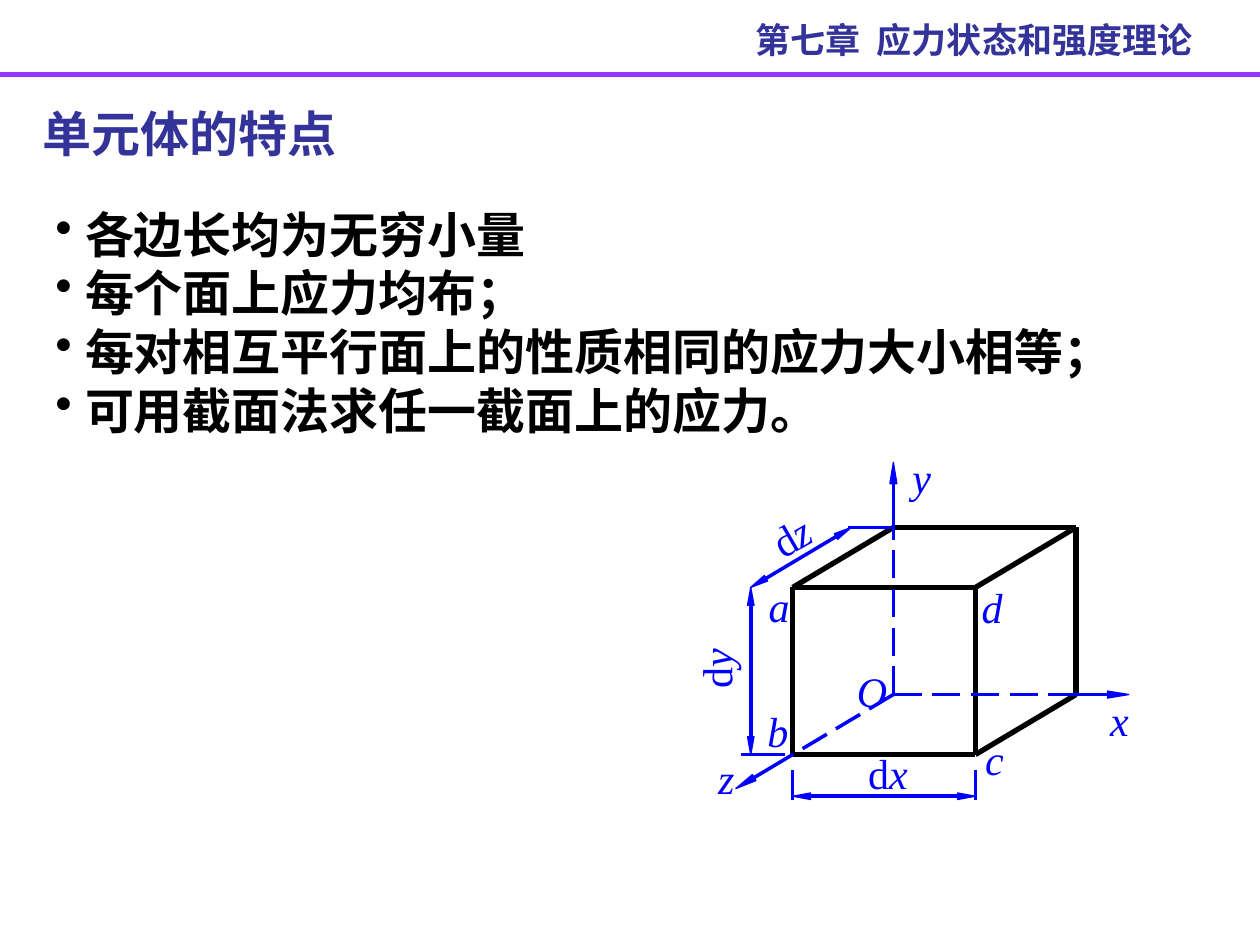
import math
from dataclasses import dataclass

import pptx
import pptx.dml.color
import pptx.enum.dml
import pptx.enum.shapes
import pptx.enum.text
import pptx.oxml.ns
import pptx.util
from lxml import etree

Pt = pptx.util.Pt
ALIGN = pptx.enum.text.PP_ALIGN


@dataclass(frozen=True)
class Theme:
    font: str = "Times New Roman"
    heading: str = "333399"
    body: str = "000000"
    rule: str = "9933FF"
    drawing: str = "0000FF"
    header_size: int = 20
    body_size: int = 28
    label_size: int = 24
    leading: float = 1.2
    thick: int = 3
    hairline: int = 0


class SlideBuilder:
    def __init__(self, slide, theme):
        self.slide = slide
        self.theme = theme

    def color(self, value):
        return pptx.dml.color.RGBColor.from_string(value)

    def style_font(self, font, color, **values):
        for name, value in {"name": self.theme.font, **values}.items():
            setattr(font, name, value)
        font.color.rgb = self.color(color)

    def style_frame(self, frame, margins=(7.2, 3.6), wrap=True, anchor="TOP"):
        side, edge = (Pt(margin) for margin in margins)
        values = {
            "margin_left": side, "margin_right": side,
            "margin_top": edge, "margin_bottom": edge,
            "word_wrap": wrap,
            "auto_size": pptx.enum.text.MSO_AUTO_SIZE.NONE,
            "vertical_anchor": getattr(pptx.enum.text.MSO_ANCHOR, anchor),
        }
        for name, value in values.items():
            setattr(frame, name, value)

    def textbox(self, box):
        return self.slide.shapes.add_textbox(*(Pt(length) for length in box))

    def add_text(self, paragraph, text, size, color, align=ALIGN.LEFT):
        run = paragraph.add_run()
        run.text = text
        paragraph.alignment = align
        paragraph.line_spacing = Pt(size * self.theme.leading)
        self.style_font(run.font, color, size=Pt(size), bold=True)

    def title(self, text, box):
        title = self.slide.shapes.title
        for name, length in zip(("left", "top", "width", "height"), box):
            setattr(title, name, Pt(length))
        self.style_frame(title.text_frame)
        self.add_text(title.text_frame.paragraphs[0], text, self.theme.body_size,
                      self.theme.heading, ALIGN.JUSTIFY)

    def header(self, text, box):
        frame = self.textbox(box).text_frame
        self.style_frame(frame)
        self.add_text(frame.paragraphs[0], text, self.theme.header_size, self.theme.heading)

    def bullets(self, items, box, indent=17):
        frame = self.textbox(box).text_frame
        self.style_frame(frame, anchor="MIDDLE")
        for index, item in enumerate(items):
            paragraph = frame.add_paragraph() if index else frame.paragraphs[0]
            properties = paragraph._p.get_or_add_pPr()
            properties.set("marL", str(Pt(indent)))
            properties.set("indent", str(-Pt(indent)))
            bullet = etree.SubElement(properties, pptx.oxml.ns.qn("a:buChar"))
            bullet.set("char", "•")
            self.add_text(paragraph, item, self.theme.body_size, self.theme.body, ALIGN.JUSTIFY)

    def label(self, upright, italic, left, top, width, rotation=0):
        """Place a symbol; an upright part may stand before the italic one."""
        box = self.textbox((left, top, width, 28.8))
        box.rotation = rotation
        self.style_frame(box.text_frame, margins=(0, 0), wrap=False)
        for text, slanted in ((upright, False), (italic, True)):
            if text:
                run = box.text_frame.paragraphs[0].add_run()
                run.text = text
                self.style_font(run.font, self.theme.drawing,
                                size=Pt(self.theme.label_size), italic=slanted)

    def line(self, start, end, color, width, dashed=False):
        connector = self.slide.shapes.add_connector(
            pptx.enum.shapes.MSO_CONNECTOR.STRAIGHT, *(Pt(v) for v in (*start, *end)))
        connector.line.color.rgb = self.color(color)
        connector.line.width = Pt(width)
        if dashed:
            connector.line.dash_style = pptx.enum.dml.MSO_LINE.LONG_DASH
        etree.SubElement(connector._element.spPr, pptx.oxml.ns.qn("a:effectLst"))

    def thin(self, start, end, dashed=False):
        self.line(start, end, self.theme.drawing, self.theme.hairline, dashed)

    def edge(self, start, end):
        self.line(start, end, self.theme.body, self.theme.thick)

    def arrowhead(self, tail, tip, length, width):
        """Draw a slim triangle and return the middle of its base."""
        dx, dy = tip[0] - tail[0], tip[1] - tail[1]
        span = math.hypot(dx, dy)
        ux, uy = dx / span, dy / span
        base = (tip[0] - length * ux, tip[1] - length * uy)
        corners = [(base[0] - side * uy * width / 2, base[1] + side * ux * width / 2)
                   for side in (1, -1)]
        points = [(Pt(x), Pt(y)) for x, y in (*corners, tip)]
        builder = self.slide.shapes.build_freeform(*points[0])
        builder.add_line_segments(points[1:], close=True)
        head = builder.convert_to_shape()
        head.shadow.inherit = False
        head.fill.solid()
        head.fill.fore_color.rgb = self.color(self.theme.drawing)
        head.line.color.rgb = self.color(self.theme.drawing)
        head.line.width = Pt(self.theme.hairline)
        return base

    def axis(self, start, tip):
        self.thin(start, self.arrowhead(start, tip, 12.2, 4))

    def dimension(self, start, end):
        self.thin(self.arrowhead(end, start, 10.2, 3.7), self.arrowhead(start, end, 10.2, 3.7))


def draw_element(page):
    left, right, top, bottom = 453, 557.4, 335.7, 431.2
    depth_x, depth_y = 57.5, -34.3
    front = [(left, top), (right, top), (right, bottom), (left, bottom)]
    back = [(x + depth_x, y + depth_y) for x, y in front]
    a, d, c, b = front
    back_a, back_d, back_c, origin = back

    # Visible edges, then the hidden ones that meet at O
    for index in range(4):
        page.edge(front[index], front[(index + 1) % 4])
    for start, end in ((back_a, back_d), (back_d, back_c),
                       (a, back_a), (d, back_d), (c, back_c)):
        page.edge(start, end)
    for corner in (back_c, back_a, b):
        page.thin(origin, corner, dashed=True)

    # Axes
    page.axis(back_c, (645.1, origin[1]))
    page.axis(back_a, (origin[0], 264.2))
    page.axis(b, (420.5, 450.6))

    # Dimensions with their extension lines
    dx_y, dy_x = 455, 429
    page.dimension((left, dx_y), (right, dx_y))
    for x in (left, right):
        page.thin((x, 440), (x, 457.2))
    page.dimension((dy_x, top), (dy_x, bottom))
    page.thin((448.6, bottom), (423.4, bottom))
    page.dimension((dy_x, top), (dy_x + depth_x, top + depth_y))
    page.thin(back_a, (484.6, back_a[1]))

    # Symbols: upright part, italic part, left, top, width, rotation
    for symbol in (
        ("", "x", 634.3, 396.7, 10.8), ("", "y", 521.3, 257.8, 20.9),
        ("", "z", 410.4, 429.8, 12.2), ("", "O", 489.6, 380.2, 17.3),
        ("", "a", 439.2, 331.9, 12.2), ("", "b", 438.5, 403.2, 12.2),
        ("", "c", 563, 419, 10.8), ("", "d", 560.9, 332.6, 12.2),
        ("d", "x", 496.1, 427, 23), ("d", "y", 396, 365.8, 25.9, 270),
        ("d", "z", 441.4, 291.6, 21.6, 330),
    ):
        page.label(*symbol)


def main():
    deck = pptx.Presentation()
    deck.slide_width, deck.slide_height = Pt(720), Pt(540)
    theme = Theme()
    page = SlideBuilder(deck.slides.add_slide(deck.slide_layouts[5]), theme)

    # Chapter header
    page.line((0, 42.5), (720, 42.5), theme.rule, theme.thick)
    page.header("第七章  应力状态和强度理论", (424.8, 7.2, 287.3, 31.7))

    # Title and features
    page.title("单元体的特点", (17.3, 55.4, 671.8, 41))
    page.bullets(("各边长均为无穷小量", "每个面上应力均布；",
                  "每对相互平行面上的性质相同的应力大小相等；",
                  "可用截面法求任一截面上的应力。"), (24.5, 113, 655.9, 141.8))

    # Stress element
    draw_element(page)
    deck.save("out.pptx")


if __name__ == "__main__":
    main()
